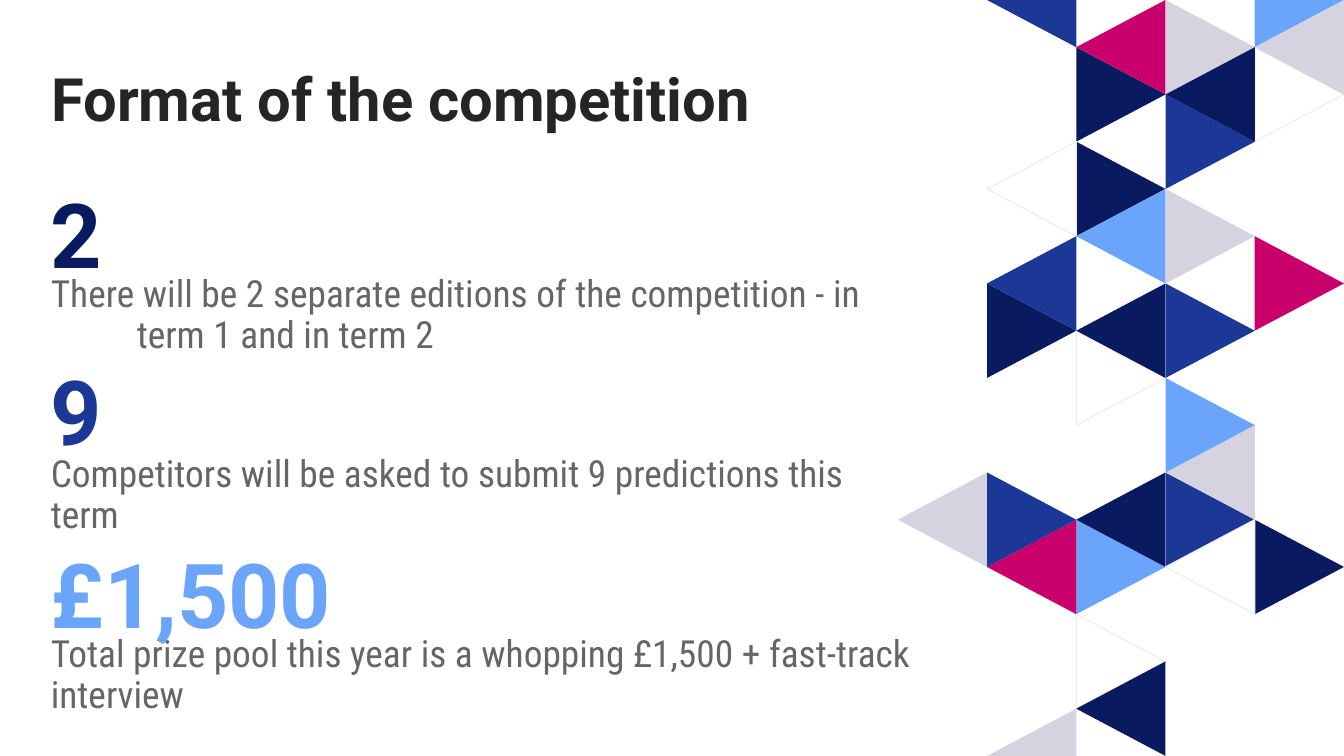
from dataclasses import dataclass

from pptx import Presentation
from pptx.dml.color import RGBColor
from pptx.enum.text import MSO_ANCHOR, MSO_AUTO_SIZE, PP_ALIGN
from pptx.slide import Slide
from pptx.util import Inches, Pt

TOP, BOTTOM = MSO_ANCHOR.TOP, MSO_ANCHOR.BOTTOM
NO_FIT = MSO_AUTO_SIZE.NONE
LEFT = PP_ALIGN.LEFT

WIDTH, HEIGHT = 10, 10 * 9 / 16
COLORS = {
    "title": "252525", "text": "666666", "navy": "0A1A61", "blue": "1B3897",
    "sky": "6AA4FB", "pink": "C9006B", "gray": "D4D3DF", "white": "FFFFFF",
    "outline": "EFEFEF",
}

GRID_LEFT, GRID_COLS, GRID_ROWS = 6.68, 5, 16
COL_W = (WIDTH - GRID_LEFT) / GRID_COLS
ROW_H = HEIGHT / GRID_ROWS

TRIANGLES = [
    (2, 11, "right", "sky"), (2, 13, "right", "white"),
    (3, 2, "right", "blue"), (4, 1, "right", "white"),
    (3, 4, "right", "gray"), (3, 10, "right", "blue"),
    (4, 11, "right", "navy"), (3, 0, "right", "gray"),
    (4, -1, "right", "sky"), (2, 10, "left", "navy"),
    (1, 11, "left", "pink"), (3, 1, "left", "navy"),
    (3, 9, "left", "gray"), (3, 11, "left", "white"),
    (1, -1, "left", "blue"), (1, 15, "left", "gray"),
    (2, 14, "left", "navy"), (4, 0, "left", "gray"),
    (2, 1, "right", "navy"), (2, 3, "right", "navy"),
    (1, 3, "left", "white"), (2, 4, "left", "sky"),
    (2, 0, "left", "pink"), (1, 6, "right", "navy"),
    (2, 7, "right", "white"), (1, 10, "right", "blue"),
    (3, 6, "right", "blue"), (3, 8, "right", "sky"),
    (4, 5, "right", "pink"), (0, 10, "left", "gray"),
    (1, 5, "left", "blue"), (2, 6, "left", "navy"),
]

FACTS = [
    ("2", "navy", (1.24, 2.1, 1), (1.95, 6.4, 0.86), 0.64,
     "There will be 2 separate editions of the competition - in term 1 and in term 2"),
    ("9", "blue", (2.56, 2.13, 1), (3.29, 6.29, 0.86), 0,
     "Competitors will be asked to submit 9 predictions this term"),
    ("£1,500", "sky", (4, 2.56, 0.92), (4.63, 7.53, 0.86), 0,
     "Total prize pool this year is a whopping £1,500 + fast-track interview"),
]


@dataclass
class Deck:
    """Draws styled elements on the current slide."""

    s: Slide
    left: float = 0.28
    inset: float = 0.1
    heading_font: str = "Roboto"
    body_font: str = "Roboto Condensed"

    def color(self, name):
        return RGBColor.from_string(COLORS[name])

    def triangle(self, col, row, direction, fill):
        base, tip = (col, col + 1) if direction == "right" else (col + 1, col)
        corners = [(base, row), (base, row + 2), (tip, row + 1)]
        points = [
            (Inches(GRID_LEFT + x * COL_W), Inches(min(max(y, 0), GRID_ROWS) * ROW_H))
            for x, y in corners
        ]
        builder = self.s.shapes.build_freeform(*points[0])
        builder.add_line_segments(points[1:], close=True)
        sp = builder.convert_to_shape()
        sp.shadow.inherit = False
        sp.fill.solid()
        sp.fill.fore_color.rgb = self.color(fill)
        if fill == "white":
            sp.line.color.rgb = self.color("outline")
            sp.line.width = Pt(0.75)
        else:
            sp.line.fill.background()

    def set_text(self, sp, text, size, color, font, bold, anchor):
        tf = sp.text_frame
        tf.word_wrap = True
        tf.auto_size = NO_FIT
        tf.vertical_anchor = anchor
        tf.margin_left = tf.margin_right = Inches(self.inset)
        tf.margin_top = tf.margin_bottom = Inches(self.inset)
        p = tf.paragraphs[0]
        p.text = text
        p.alignment = LEFT
        p.line_spacing = 0.9
        p.space_before = Pt(0)
        p.font.name = font
        p.font.size = Pt(size)
        p.font.bold = bold
        p.font.color.rgb = self.color(color)
        return p

    def title(self, text, top, width, height):
        sp = self.s.shapes.title
        sp.left, sp.top = Inches(self.left), Inches(top)
        sp.width, sp.height = Inches(width), Inches(height)
        self.set_text(sp, text, 32, "title", self.heading_font, True, BOTTOM)

    def textbox(self, top, width, height):
        return self.s.shapes.add_textbox(
            Inches(self.left), Inches(top), Inches(width), Inches(height))

    def number(self, text, color, box):
        self.set_text(self.textbox(*box), text, 48, color, self.heading_font, True, BOTTOM)

    def caption(self, text, box, hanging):
        p = self.set_text(self.textbox(*box), text, 20, "text", self.body_font, False, TOP)
        if hanging:
            pPr = p._p.get_or_add_pPr()
            pPr.set("marL", str(Inches(hanging)))
            pPr.set("indent", str(-Inches(hanging)))


def main():
    prs = Presentation()
    prs.slide_width, prs.slide_height = Inches(WIDTH), Inches(HEIGHT)
    deck = Deck(prs.slides.add_slide(prs.slide_layouts[5]))
    for triangle in TRIANGLES:
        deck.triangle(*triangle)
    deck.title("Format of the competition", 0.37, 7.06, 0.73)
    for number, color, number_box, caption_box, hanging, caption in FACTS:
        deck.number(number, color, number_box)
        deck.caption(caption, caption_box, hanging)
    prs.save("out.pptx")


if __name__ == "__main__":
    main()
